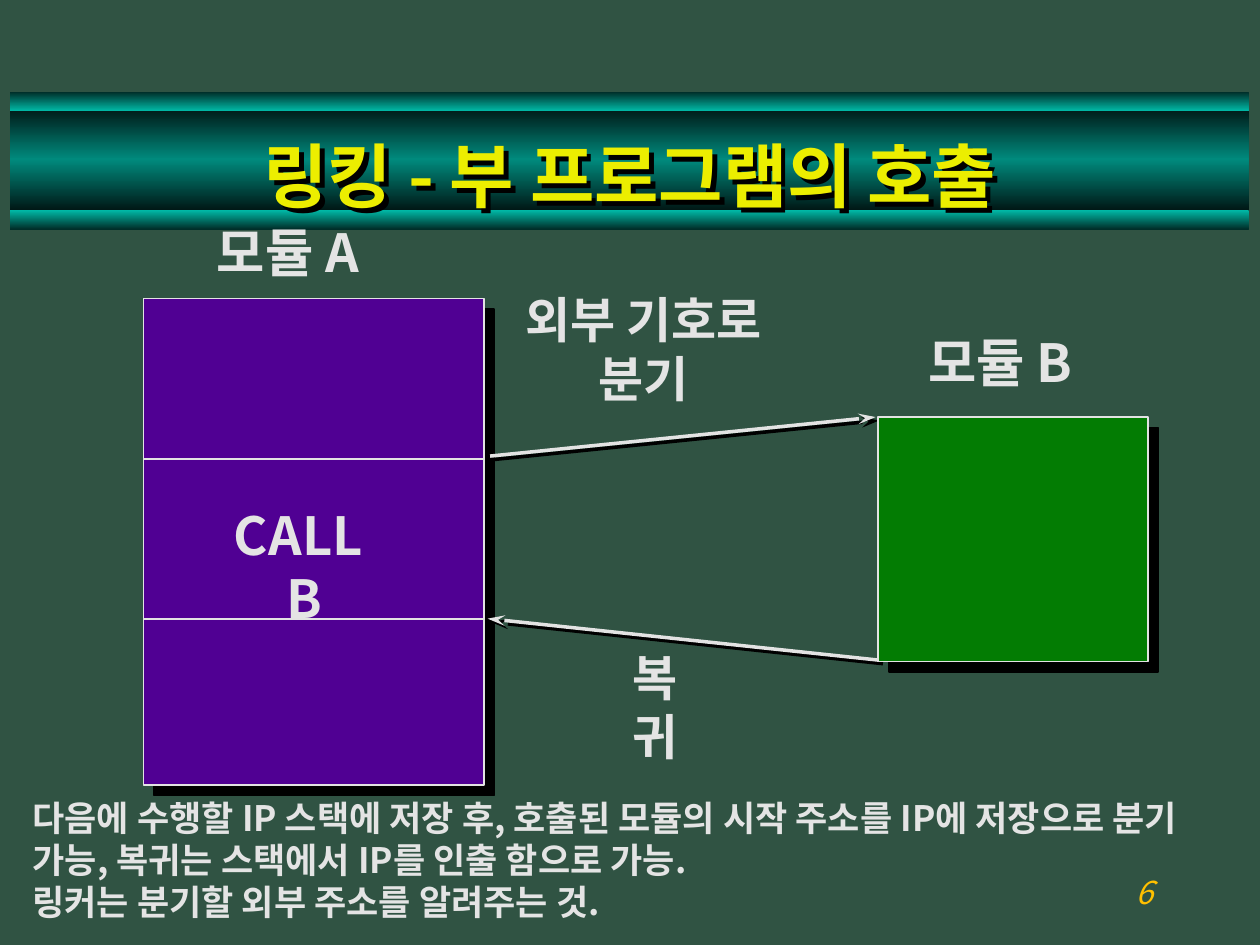
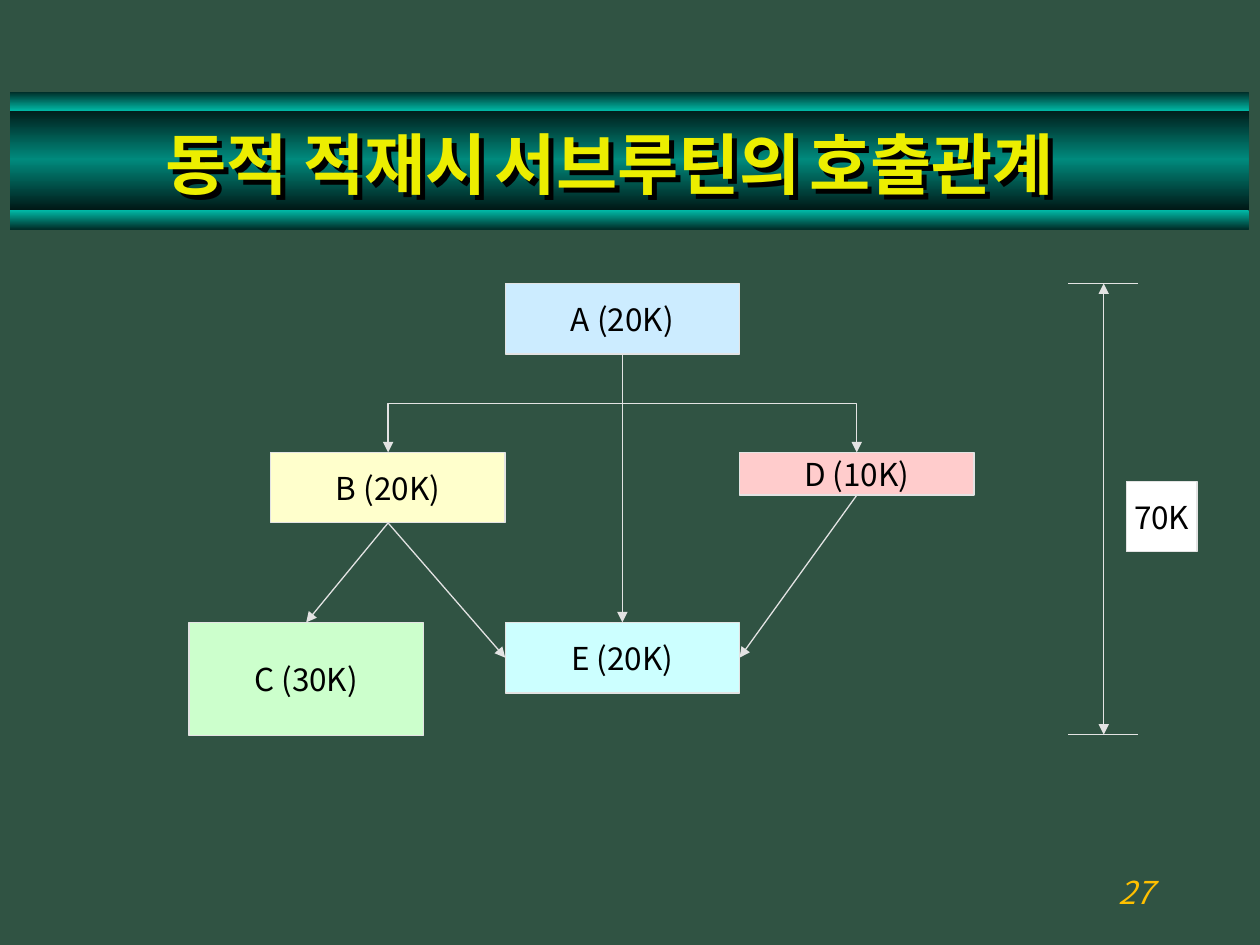
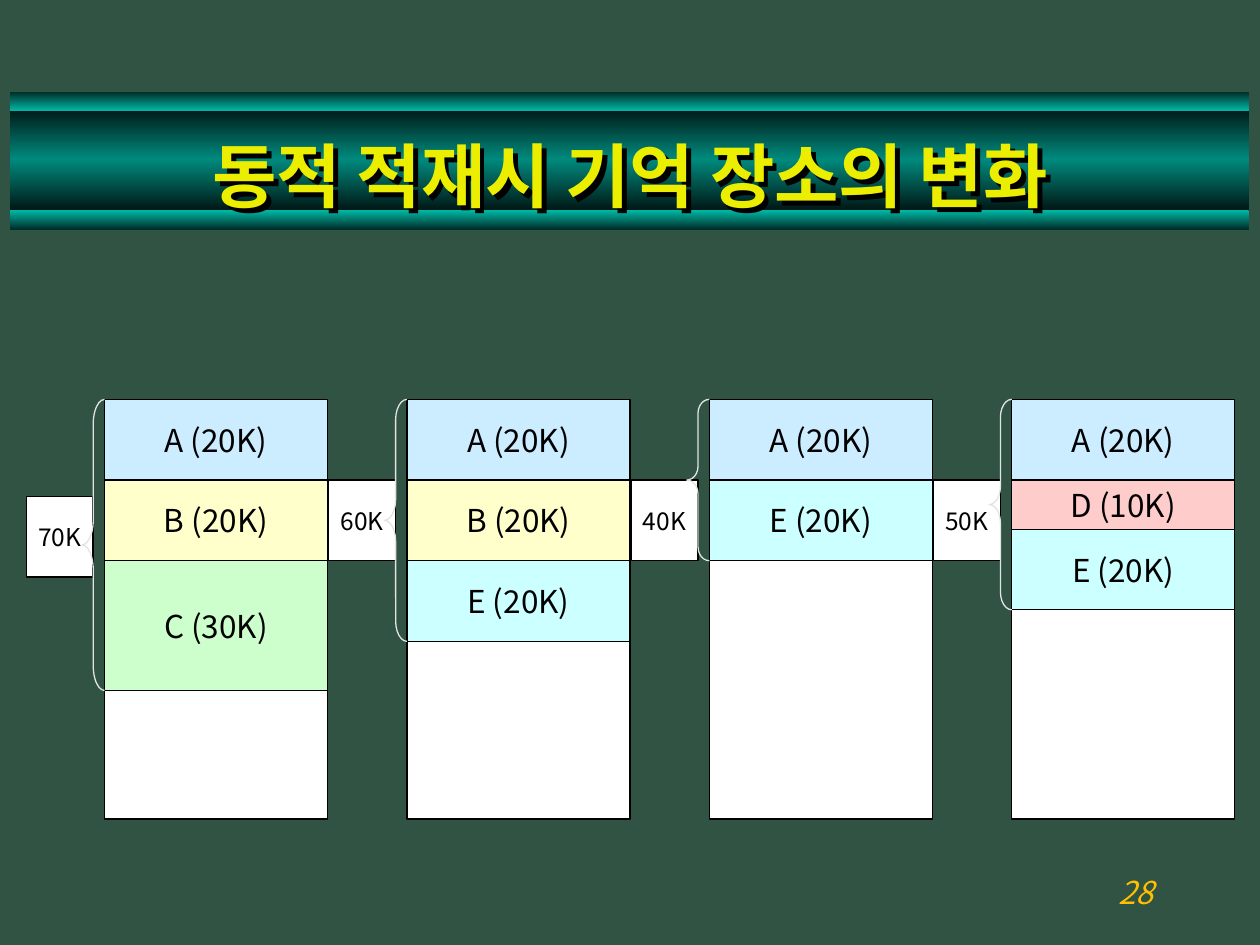
"""Build three slides on linking and dynamic loading of subroutines."""
from dataclasses import dataclass
from typing import Any, NamedTuple

from lxml import etree
from pptx import Presentation
from pptx.dml.color import RGBColor
from pptx.enum.shapes import MSO_CONNECTOR, MSO_SHAPE
from pptx.enum.text import MSO_ANCHOR, MSO_AUTO_SIZE, PP_ALIGN
from pptx.oxml.ns import qn
from pptx.util import Inches, Pt

RECTANGLE, LEFT_BRACE = MSO_SHAPE.RECTANGLE, MSO_SHAPE.LEFT_BRACE
STRAIGHT, ELBOW = MSO_CONNECTOR.STRAIGHT, MSO_CONNECTOR.ELBOW
LEFT, CENTER, RIGHT = PP_ALIGN.LEFT, PP_ALIGN.CENTER, PP_ALIGN.RIGHT
TOP, MIDDLE = MSO_ANCHOR.TOP, MSO_ANCHOR.MIDDLE
FIXED, GROW = MSO_AUTO_SIZE.NONE, MSO_AUTO_SIZE.SHAPE_TO_FIT_TEXT
TOP_SIDE, LEFT_SIDE, BOTTOM_SIDE, RIGHT_SIDE = range(4)

FONT = "Noto Sans CJK KR"
COLORS = {
    "background": "305343", "title": "ECEE00", "number": "FFC000",
    "text": "E4E4E4", "line": "E3E3E3", "black": "000000", "white": "FFFFFF",
    "band_dark": "001513", "band": "008A7D", "edge_dark": "002E29", "edge": "00B7A5",
    "caller": "500093", "callee": "037C03",
    "A": "CCECFF", "B": "FFFFCC", "C": "CCFFCC", "D": "FFCCCC", "E": "CCFFFF",
}
ROUTINES = {"A": "A (20K)", "B": "B (20K)", "C": "C (30K)", "D": "D (10K)", "E": "E (20K)"}
ARROW_LENGTHS = {"triangle": "med", "stealth": "lg"}
TITLE_AT = (0.75, 0.98)


class Band(NamedTuple):
    """A gradient strip behind the title."""
    top: float
    height: float
    stops: tuple[str, ...]


@dataclass
class Box:
    """A filled rectangle with an optional centred label."""
    left: float
    top: float
    width: float
    height: float
    fill: str
    label: str = ""
    size: int = 18
    outline: str = "line"
    outline_width: float = 0.75
    shadow: float = 0


@dataclass
class Label:
    """Free text on a slide."""
    left: float
    top: float
    width: float
    height: float
    lines: tuple[str, ...]
    size: int
    color: str = "text"
    bold: bool = True
    italic: bool = False
    align: Any = CENTER
    anchor: Any = TOP
    wrap: bool = False
    fit: Any = GROW


@dataclass
class Line:
    """A straight line with optional arrowheads."""
    start: tuple[float, float]
    end: tuple[float, float]
    width: float = 0.75
    head: str = ""
    tail: str = ""
    shadow: float = 0


class Call(NamedTuple):
    """An arrow from one routine to another."""
    caller: str
    callee: str
    side: int


class Memory(NamedTuple):
    """One state of the memory column."""
    total: str
    total_top: float
    routines: str


BANDS = (
    Band(0.85, 0.83, ("band_dark", "band", "band_dark")),
    Band(1.67, 0.15, ("edge", "edge_dark")),
    Band(0.73, 0.15, ("edge_dark", "edge")),
)


def rgb(key: str) -> RGBColor:
    """Return a named colour."""
    return RGBColor.from_string(COLORS[key])


def apply(target: Any, values: dict[str, Any]) -> None:
    """Set every attribute in values on target."""
    for name, value in values.items():
        setattr(target, name, value)


def add_node(parent: Any, tag: str, **attributes: Any) -> Any:
    """Append a drawing element with attributes."""
    return etree.SubElement(parent, qn(tag), {key: str(value) for key, value in attributes.items()})


def add_shadow(effects: Any, distance: float) -> None:
    """Add a hard black shadow to the lower right."""
    shadow = add_node(effects, "a:outerShdw", blurRad=0, dist=Pt(distance), dir=2700000,
                      algn="ctr", rotWithShape=0)
    add_node(shadow, "a:srgbClr", val=COLORS["black"])


def style_run(run: Any, size: int, color: str, bold: bool = False, italic: bool = False) -> None:
    """Format one run of text."""
    apply(run.font, {"name": FONT, "size": Pt(size), "bold": bold, "italic": italic})
    run.font.color.rgb = rgb(color)


def draw_shape(slide: Any, kind: Any, left: float, top: float, width: float, height: float) -> Any:
    """Add a preset shape without shadow or fill."""
    shape = slide.shapes.add_shape(kind, Inches(left), Inches(top), Inches(width), Inches(height))
    shape.shadow.inherit = False
    shape.fill.background()
    return shape


def set_outline(line: Any, color: str, width: float) -> None:
    """Colour a line and set its width."""
    line.color.rgb = rgb(color)
    line.width = Pt(width)


def draw_box(slide: Any, box: Box) -> Any:
    """Draw a box and its label."""
    shape = draw_shape(slide, RECTANGLE, box.left, box.top, box.width, box.height)
    shape.fill.solid()
    shape.fill.fore_color.rgb = rgb(box.fill)
    set_outline(shape.line, box.outline, box.outline_width)
    if box.shadow:
        add_shadow(shape.element.spPr.find(qn("a:effectLst")), box.shadow)
    if box.label:
        apply(shape.text_frame, {"word_wrap": False, "vertical_anchor": MIDDLE})
        paragraph = shape.text_frame.paragraphs[0]
        paragraph.alignment = CENTER
        run = paragraph.add_run()
        run.text = box.label
        style_run(run, box.size, "black")
    return shape


def draw_label(slide: Any, label: Label) -> None:
    """Draw free text, one paragraph for each line."""
    frame = slide.shapes.add_textbox(Inches(label.left), Inches(label.top),
                                     Inches(label.width), Inches(label.height)).text_frame
    frame.text = "\n".join(label.lines)
    apply(frame, {"word_wrap": label.wrap, "vertical_anchor": label.anchor, "auto_size": label.fit})
    for paragraph in frame.paragraphs:
        paragraph.alignment = label.align
        style_run(paragraph.runs[0], label.size, label.color, label.bold, label.italic)


def style_connector(connector: Any, width: float, head: str, tail: str, shadow: float = 0) -> None:
    """Set the line, arrowheads and shadow of a connector."""
    set_outline(connector.line, "line", width)
    outline = connector.line._get_or_add_ln()
    for tag, arrow in (("a:headEnd", head), ("a:tailEnd", tail)):
        if arrow:
            add_node(outline, tag, type=arrow, w="med", len=ARROW_LENGTHS[arrow])
    effects = add_node(connector.element.spPr, "a:effectLst")
    if shadow:
        add_shadow(effects, shadow)


def draw_line(slide: Any, line: Line) -> None:
    """Draw a straight line."""
    points = [Inches(value) for value in (*line.start, *line.end)]
    connector = slide.shapes.add_connector(STRAIGHT, *points)
    style_connector(connector, line.width, line.head, line.tail, line.shadow)


def draw_call(slide: Any, boxes: dict[str, Any], call: Call) -> None:
    """Join two routines, with an elbow from the top routine to those at its sides."""
    caller, callee = boxes[call.caller], boxes[call.callee]
    bent = call.caller == "A" and caller.left != callee.left
    connector = slide.shapes.add_connector(ELBOW if bent else STRAIGHT, 0, 0, 0, 0)
    connector.begin_connect(caller, BOTTOM_SIDE)
    connector.end_connect(callee, call.side)
    if bent:
        turn_elbow(connector)
    style_connector(connector, 0.75, "", "triangle")


def turn_elbow(connector: Any) -> None:
    """Rotate an elbow so that it leaves and arrives vertically."""
    rightward = connector.end_x > connector.begin_x
    across, down = connector.width, connector.height
    center_x = connector.left + across // 2
    center_y = connector.top + down // 2
    frame = connector.element.spPr.find(qn("a:xfrm"))
    frame.set("rot", "16200000" if rightward else "5400000")
    frame.set("flipH", "1" if rightward else "0")
    apply(connector, {"left": center_x - down // 2, "top": center_y - across // 2,
                      "width": down, "height": across})


def draw_bands(deck: Any, slide: Any) -> None:
    """Put the background and title bands on the master."""
    master = deck.slide_master
    master.background.fill.solid()
    master.background.fill.fore_color.rgb = rgb("background")
    for index, band in enumerate(BANDS):
        strip = draw_shape(slide, RECTANGLE, 0.08, band.top, 9.83, band.height)
        strip.line.fill.background()
        properties = strip.element.spPr
        gradient = etree.Element(qn("a:gradFill"), rotWithShape="1")
        stops = add_node(gradient, "a:gsLst")
        for step, color in enumerate(band.stops):
            stop = add_node(stops, "a:gs", pos=100000 * step // (len(band.stops) - 1))
            add_node(stop, "a:srgbClr", val=COLORS[color])
        add_node(gradient, "a:lin", ang=5400000, scaled=0)
        properties.replace(properties.find(qn("a:noFill")), gradient)
        strip.element.nvSpPr.cNvPr.id = 100 + index
        master.shapes.element.insert(2 + index, strip.element)


def add_slide(deck: Any, number: str, title_runs: tuple[tuple[str, int], ...],
              title_at: tuple[float, float] = TITLE_AT) -> Any:
    """Add a slide with its title and number."""
    slide = deck.slides.add_slide(deck.slide_layouts[5])
    draw_label(slide, Label(7.17, 6.83, 2.08, 0.5, (number,), 18, "number", False, True,
                            RIGHT, MIDDLE, fit=FIXED))
    title = slide.shapes.title
    apply(title, {"left": Inches(title_at[0]), "top": Inches(title_at[1]),
                  "width": Inches(8.5), "height": Inches(0.81)})
    apply(title.text_frame, {"word_wrap": True, "vertical_anchor": MIDDLE, "auto_size": FIXED})
    title.fill.background()
    add_shadow(add_node(title.element.spPr, "a:effectLst"), 4)
    paragraph = title.text_frame.paragraphs[0]
    paragraph.alignment = CENTER
    for text, size in title_runs:
        run = paragraph.add_run()
        run.text = text
        style_run(run, size, "title", bold=True)
    return slide


def build_linking(deck: Any) -> None:
    """Show a call from module A to module B and the return."""
    slide = add_slide(deck, "6", (("링킹 - 부 프로그램의 호출", 40),))
    draw_bands(deck, slide)
    for row in range(3):
        draw_box(slide, Box(1.14, 2.37 + 1.27 * row, 2.7, 1.32, "caller",
                            outline_width=1, shadow=8.5))
    for line in (
        Line((3.89, 3.62), (6.95, 3.31), 2, tail="stealth", shadow=2.8),
        Line((3.87, 4.91), (6.98, 5.24), 2, head="stealth", shadow=2.8),
    ):
        draw_line(slide, line)
    draw_box(slide, Box(6.97, 3.31, 2.14, 1.94, "callee", outline_width=1, shadow=8.5))
    for label in (
        Label(1.57, 3.94, 1.69, 0.7, ("CALL  B",), 30),
        Label(1.56, 1.7, 1.45, 0.7, ("모듈 A",), 30),
        Label(4.07, 2.25, 2.08, 1.17, ("외부 기호로", "분기"), 28),
        Label(4.75, 5.09, 0.9, 0.63, ("복귀",), 28),
        Label(7.2, 2.57, 1.48, 0.7, ("모듈 B",), 30),
        Label(0.16, 6.27, 9.69, 0.87, (
            "다음에 수행할 IP 스택에 저장 후, 호출된 모듈의 시작 주소를 IP에 저장으로 "
            "분기 가능, 복귀는 스택에서 IP를 인출 함으로 가능.",
            "링커는 분기할 외부 주소를 알려주는 것."), 20, align=LEFT, wrap=True, fit=FIXED),
    ):
        draw_label(slide, label)


def build_call_tree(deck: Any) -> None:
    """Show which routine calls which, and their total size."""
    slide = add_slide(deck, "27", (("동적 적재시", 38), (" ", 20), ("서브루틴의", 38),
                                   (" ", 20), ("호출관계", 38)), (0.59, 0.89))
    places = {"A": (4.01, 2.25, 0.56), "B": (2.15, 3.59, 0.56), "C": (1.5, 4.94, 0.9),
              "D": (5.87, 3.59, 0.34), "E": (4.01, 4.94, 0.56)}
    boxes = {name: draw_box(slide, Box(left, top, 1.86, height, name, ROUTINES[name]))
             for name, (left, top, height) in places.items()}
    for call in (
        Call("A", "B", TOP_SIDE), Call("A", "D", TOP_SIDE), Call("A", "E", TOP_SIDE),
        Call("D", "E", RIGHT_SIDE), Call("B", "C", TOP_SIDE), Call("B", "E", LEFT_SIDE),
    ):
        draw_call(slide, boxes, call)
    first, last = 2.25, 5.83
    for level in (first, last):
        draw_line(slide, Line((8.48, level), (9.03, level)))
    draw_line(slide, Line((8.76, first), (8.76, last), head="triangle", tail="triangle"))
    draw_box(slide, Box(8.94, 3.82, 0.56, 0.56, "white", "70K"))


def build_memory_states(deck: Any) -> None:
    """Show how the contents of memory change during dynamic loading."""
    slide = add_slide(deck, "28", (("동적 적재시 기억 장소의 변화", 40),))
    heights = {"A": 0.64, "B": 0.64, "C": 1.03, "D": 0.39, "E": 0.64}
    first_left, pitch, width, top, bottom = 0.83, 2.4, 1.77, 3.17, 6.5
    states = (Memory("70K", 3.94, "ABC"), Memory("60K", 3.81, "ABE"),
              Memory("40K", 3.81, "AE"), Memory("50K", 3.81, "ADE"))
    for index, state in enumerate(states):
        left = first_left + pitch * index
        draw_box(slide, Box(left - 0.62, state.total_top, 0.53, 0.64, "white", state.total, 14,
                            "black"))
        level = top
        for name in state.routines:
            draw_box(slide, Box(left, level, width, heights[name], name, ROUTINES[name],
                                outline="black"))
            level += heights[name]
        draw_box(slide, Box(left, level, width, bottom - level, "white", outline="black"))
        brace = draw_shape(slide, LEFT_BRACE, left - 0.18, top, 0.18, level - top)
        brace.adjustments[0] = 0.47 * (level - top)
        set_outline(brace.line, "line", 0.75)


def main() -> None:
    """Build and save the presentation."""
    deck = Presentation()
    apply(deck, {"slide_width": Inches(10), "slide_height": Inches(7.5)})
    build_linking(deck)
    build_call_tree(deck)
    build_memory_states(deck)
    deck.save("out.pptx")


if __name__ == "__main__":
    main()
